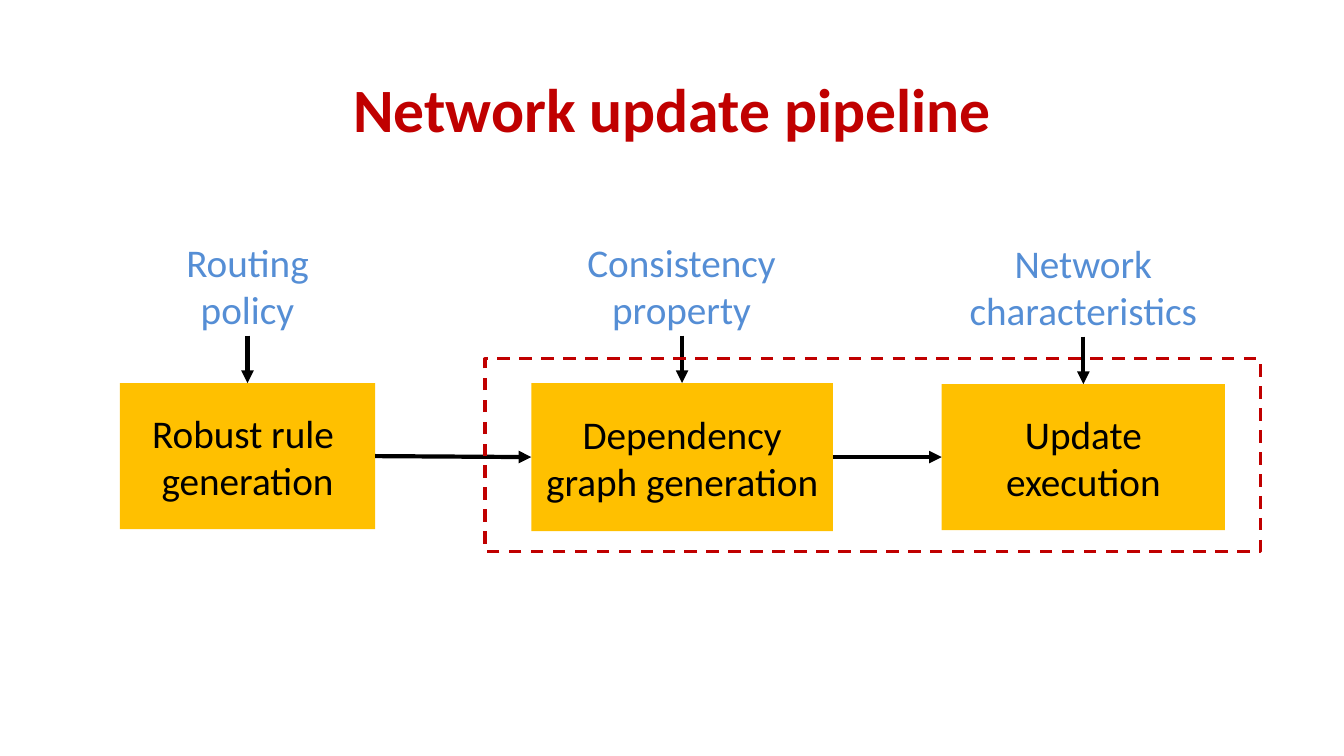
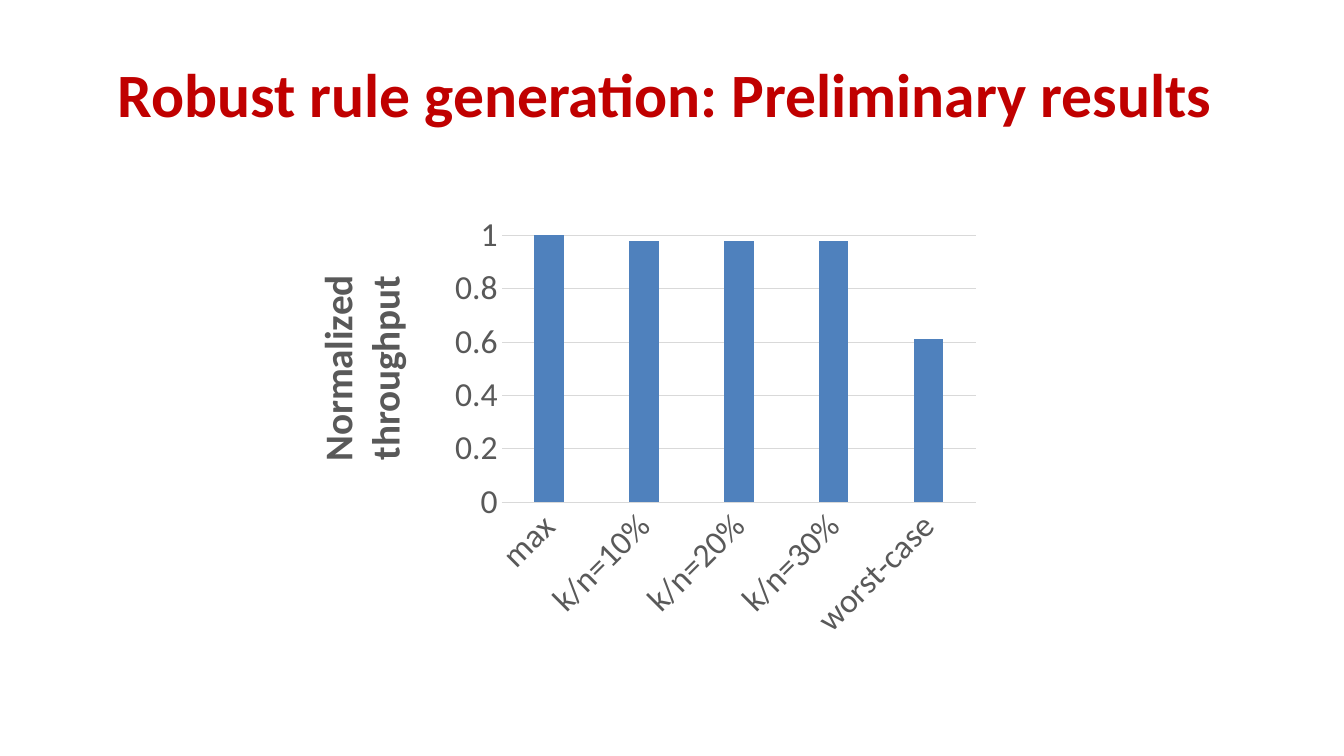
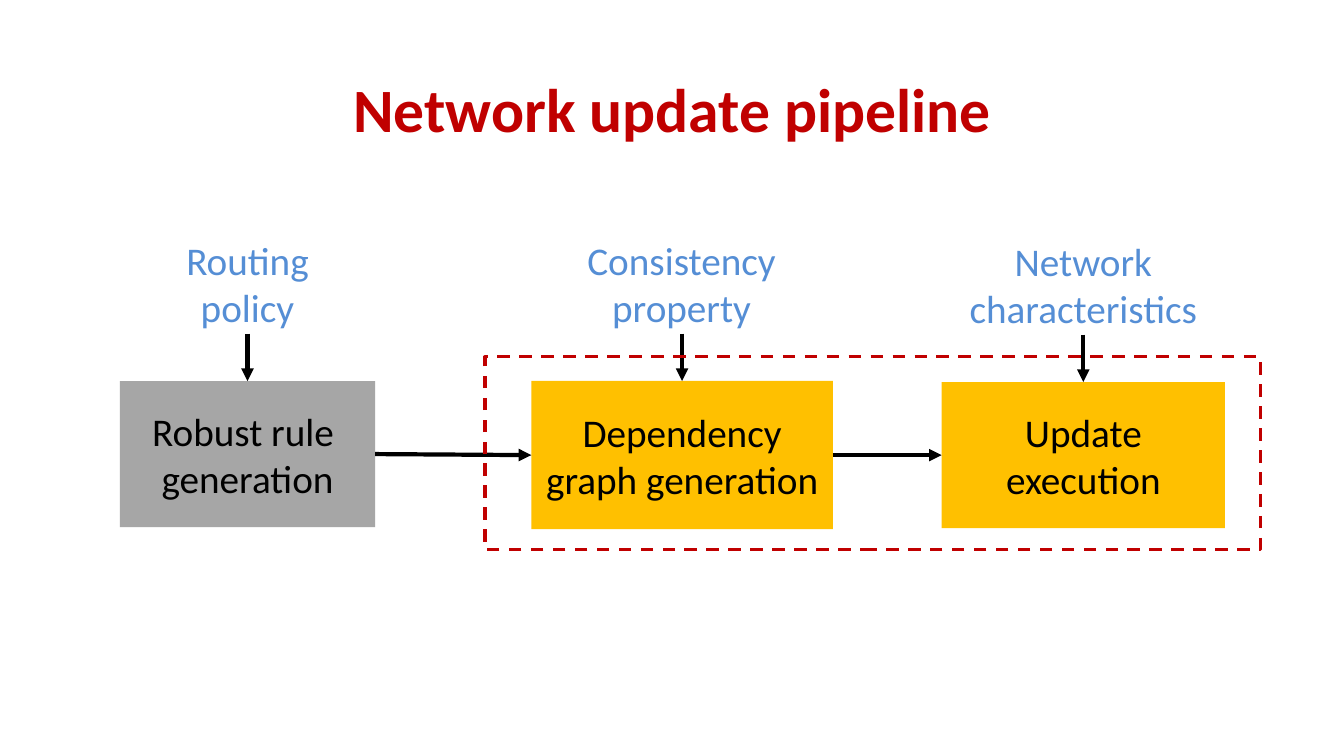
"""Build three slides on a network update pipeline."""
from dataclasses import dataclass
from typing import Optional

from lxml.etree import SubElement
from pptx import Presentation
from pptx.chart.data import CategoryChartData
from pptx.dml.color import RGBColor
from pptx.enum.chart import XL_CHART_TYPE as ChartType, XL_TICK_MARK as TickMark
from pptx.enum.dml import MSO_LINE_DASH_STYLE as Dash
from pptx.enum.shapes import MSO_CONNECTOR as Connector, MSO_SHAPE as Preset
from pptx.enum.text import MSO_ANCHOR as Anchor, MSO_AUTO_SIZE as AutoSize, PP_ALIGN as Align
from pptx.oxml import parse_xml
from pptx.oxml.ns import nsdecls, qn
from pptx.util import Emu, Pt

FONT = "Calibri"
RED = RGBColor(0xC0, 0x00, 0x00)
AMBER = RGBColor(0xFF, 0xC0, 0x00)
GREY = RGBColor(0xA6, 0xA6, 0xA6)
BLUE = RGBColor(0x55, 0x8E, 0xD5)
BAR_BLUE = RGBColor(0x4F, 0x81, 0xBD)
BLACK = RGBColor(0x00, 0x00, 0x00)
AXIS_TEXT = RGBColor(0x59, 0x59, 0x59)
GRID = RGBColor(0xD9, 0xD9, 0xD9)

EMU_PER_PX = 9144
LABEL_HEIGHT = 100
LABEL_RISE = 147
RIGHT, LEFT, TOP = 3, 1, 0


@dataclass(frozen=True)
class Area:
    left: int
    top: int
    width: int
    height: int

    def emu(self):
        return tuple(px(value) for value in (self.left, self.top, self.width, self.height))


@dataclass(frozen=True)
class Stage:
    lines: tuple[str, ...]
    area: Area
    label: str
    label_width: int


STAGES = (
    Stage(("Robust rule ", "generation"), Area(119, 380, 253, 145), "Routing policy", 267),
    Stage(("Dependency graph generation",), Area(527, 380, 299, 147), "Consistency property", 344),
    Stage(("Update", "execution"), Area(934, 381, 281, 145), "Network characteristics", 407),
)
FRAME = Area(481, 356, 769, 191)
PIPELINE_TITLE_HEIGHT = 154
RESULTS_TITLE_HEIGHT = 125
RESULTS = {"max": 1, "k/n=10%": 0.98, "k/n=20%": 0.98, "k/n=30%": 0.98, "worst-case": 0.61}


def px(value: float) -> Emu:
    return Emu(round(value * EMU_PER_PX))


def style_font(font, size: int, color: RGBColor, bold: bool = False) -> None:
    font.name, font.size, font.bold = FONT, Pt(size), bold
    font.color.rgb = color


def write(frame, lines: tuple[str, ...], size: int, color: RGBColor, bold: bool = False) -> None:
    frame.word_wrap = True
    frame.auto_size = AutoSize.NONE
    frame.vertical_anchor = Anchor.MIDDLE
    paragraph = frame.paragraphs[0]
    paragraph.alignment = Align.CENTER
    for index, line in enumerate(lines):
        if index:
            paragraph.add_line_break()
        run = paragraph.add_run()
        run.text = line
        style_font(run.font, size, color, bold)


def add_slide(presentation, title: str, title_height: int):
    slide = presentation.slides.add_slide(presentation.slide_layouts[5])
    shape = slide.shapes.title
    shape.left, shape.top, shape.width, shape.height = Area(67, 30, 1200, title_height).emu()
    write(shape.text_frame, (title,), 44, RED, True)
    return slide


def add_plain_shape(slide, preset, area: Area, fill: Optional[RGBColor] = None):
    shape = slide.shapes.add_shape(preset, *area.emu())
    shape.shadow.inherit = False
    shape.line.fill.background()
    if fill is None:
        shape.fill.background()
    else:
        shape.fill.solid()
        shape.fill.fore_color.rgb = fill
    return shape


def add_arrow(slide, begin: tuple[float, float] = (0, 0)):
    x, y = (px(value) for value in begin)
    arrow = slide.shapes.add_connector(Connector.STRAIGHT, x, y, x, y)
    arrow.line.color.rgb = BLACK
    arrow.line.width = Pt(3)
    properties = arrow._element.spPr
    SubElement(properties.find(qn("a:ln")), qn("a:tailEnd"), type="triangle")
    SubElement(properties, qn("a:effectLst"))
    return arrow


def add_stage(slide, stage: Stage, fill: RGBColor, shift: int):
    area = stage.area
    box_area = Area(area.left, area.top + shift, area.width, area.height)
    box = add_plain_shape(slide, Preset.RECTANGLE, box_area, fill)
    write(box.text_frame, stage.lines, 28, BLACK)

    center = area.left + area.width / 2
    label_top = box_area.top - LABEL_RISE
    label_area = Area(round(center - stage.label_width / 2), label_top, stage.label_width, LABEL_HEIGHT)
    label = add_plain_shape(slide, Preset.OVAL, label_area)
    write(label.text_frame, (stage.label,), 28, BLUE)
    add_arrow(slide, (center, label_top + LABEL_HEIGHT)).end_connect(box, TOP)
    return box


def add_pipeline_slide(presentation, first_fill: RGBColor, shift: int = 0) -> None:
    slide = add_slide(presentation, "Network update pipeline", PIPELINE_TITLE_HEIGHT)
    fills = (first_fill, AMBER, AMBER)
    boxes = [add_stage(slide, stage, fill, shift) for stage, fill in zip(STAGES, fills)]
    for source, target in zip(boxes, boxes[1:]):
        arrow = add_arrow(slide)
        arrow.begin_connect(source, RIGHT)
        arrow.end_connect(target, LEFT)

    frame_area = Area(FRAME.left, FRAME.top + shift, FRAME.width, FRAME.height)
    frame = add_plain_shape(slide, Preset.RECTANGLE, frame_area)
    frame.line.color.rgb = RED
    frame.line.width = Pt(2.25)
    frame.line.dash_style = Dash.DASH


def place_in_chart(element, index: int, target: str = "", **fractions: float) -> None:
    old_layout = element.find(qn("c:layout"))
    if old_layout is not None:
        element.remove(old_layout)
    layout = parse_xml(f"<c:layout {nsdecls('c')}><c:manualLayout/></c:layout>")
    manual = layout[0]
    if target:
        SubElement(manual, qn("c:layoutTarget"), val=target)
    for mode in ("xMode", "yMode"):
        SubElement(manual, qn(f"c:{mode}"), val="edge")
    for name, value in fractions.items():
        SubElement(manual, qn(f"c:{name}"), val=str(value))
    element.insert(index, layout)


def style_line(line, color: RGBColor) -> None:
    line.color.rgb = color
    line.width = Pt(0.75)


def style_axes(chart) -> None:
    category_axis, value_axis = chart.category_axis, chart.value_axis
    for axis in (category_axis, value_axis):
        axis.major_tick_mark = axis.minor_tick_mark = TickMark.NONE
        style_font(axis.tick_labels.font, 24, AXIS_TEXT)
    style_line(category_axis.format.line, GRID)
    category_axis._element.find(qn("c:txPr")).find(qn("a:bodyPr")).set("rot", "-2700000")

    value_axis.minimum_scale, value_axis.maximum_scale, value_axis.major_unit = 0, 1, 0.2
    value_axis.has_major_gridlines = True
    style_line(value_axis.major_gridlines.format.line, GRID)
    value_axis.format.line.fill.background()

    title = value_axis.axis_title
    frame = title.text_frame
    for index, word in enumerate(("Normalized", "throughput")):
        paragraph = frame.add_paragraph() if index else frame.paragraphs[0]
        run = paragraph.add_run()
        run.text = word
        style_font(run.font, 28, AXIS_TEXT, True)
    body = next(title._element.iter(qn("a:bodyPr")))
    body.set("rot", "-5400000")
    body.set("vert", "horz")
    place_in_chart(title._element, 1, x=0.04, y=0.14)


def add_results_slide(presentation) -> None:
    slide = add_slide(presentation, "Robust rule generation: Preliminary results ", RESULTS_TITLE_HEIGHT)
    data = CategoryChartData()
    data.categories = list(RESULTS)
    data.add_series("Series 1", list(RESULTS.values()))
    area = Area(280, 206, 702, 457)
    chart = slide.shapes.add_chart(ChartType.COLUMN_CLUSTERED, *area.emu(), data).chart
    chart.has_title = chart.has_legend = False
    style_font(chart.font, 10, BLACK)

    plot = chart.plots[0]
    plot.vary_by_categories = False
    plot.gap_width, plot.overlap = 219, -27
    fill = plot.series[0].format.fill
    fill.solid()
    fill.fore_color.rgb = BAR_BLUE
    style_axes(chart)
    plot_area = next(chart._chartSpace.iter(qn("c:plotArea")))
    place_in_chart(plot_area, 0, "inner", x=0.31, y=0.06, w=0.67, h=0.58)


def main() -> None:
    presentation = Presentation()
    presentation.slide_width, presentation.slide_height = px(1333), px(750)
    add_pipeline_slide(presentation, AMBER)
    add_results_slide(presentation)
    add_pipeline_slide(presentation, GREY, shift=-2)
    presentation.save("out.pptx")


if __name__ == "__main__":
    main()
